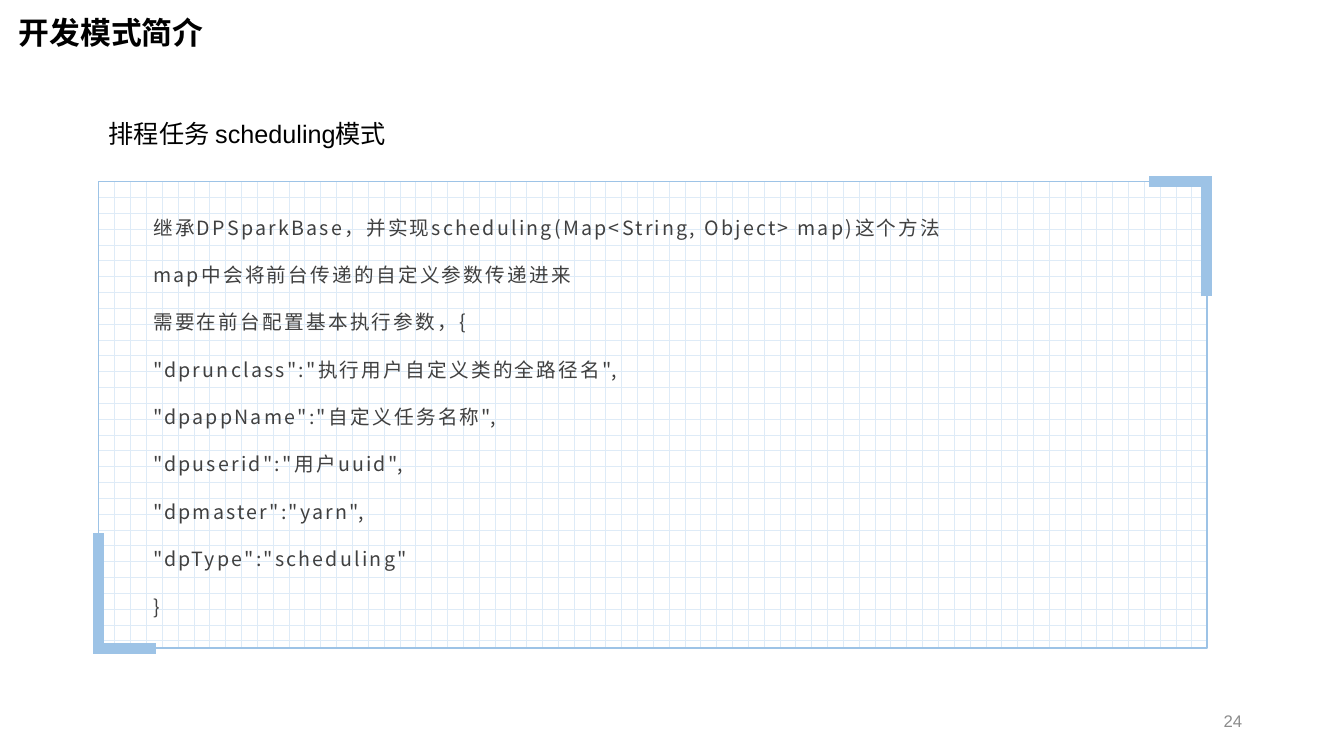
from dataclasses import dataclass

from lxml.etree import SubElement
from pptx import Presentation
from pptx.dml.color import RGBColor as RGB
from pptx.enum.dml import MSO_PATTERN as PATTERN
from pptx.enum.shapes import MSO_SHAPE as SHAPE
from pptx.enum.text import MSO_ANCHOR as ANCHOR, PP_ALIGN as ALIGN
from pptx.oxml.ns import qn
from pptx.util import Pt

PX = 9144


@dataclass(frozen=True)
class Theme:
    """Colours, fonts and type sizes of the slide."""
    ink: RGB = RGB(0, 0, 0)
    body: RGB = RGB(0x40, 0x40, 0x40)
    muted: RGB = RGB(0x8C, 0x8C, 0x8C)
    frame: RGB = RGB(0x9D, 0xC3, 0xE6)
    grid: RGB = RGB(0xDE, 0xEB, 0xF7)
    paper: RGB = RGB(255, 255, 255)
    sans: str = "Arial"
    cjk: str = "Noto Sans CJK SC"
    title_size: int = 22
    subtitle_size: int = 18
    body_size: int = 14
    number_size: int = 12


THEME = Theme()
DETAILS = [
    "继承DPSparkBase，并实现scheduling(Map<String, Object> map)这个方法",
    "map中会将前台传递的自定义参数传递进来",
    "需要在前台配置基本执行参数，{",
    '"dprunclass":"执行用户自定义类的全路径名",',
    '"dpappName":"自定义任务名称",',
    '"dpuserid":"用户uuid",',
    '"dpmaster":"yarn",',
    '"dpType":"scheduling"',
    "}",
]


def add_text(slide, box, lines, size, color, font=THEME.sans, bold=False,
             align=ALIGN.LEFT, anchor=ANCHOR.TOP, leading=1.0, gap=0,
             tracking=0, insets=(10, 5, 10, 5)):
    """Add a text box with one paragraph per line."""
    frame = slide.shapes.add_textbox(*(n * PX for n in box)).text_frame
    frame.word_wrap = True
    frame.vertical_anchor = anchor
    (frame.margin_left, frame.margin_top,
     frame.margin_right, frame.margin_bottom) = (n * PX for n in insets)
    for index, line in enumerate(lines):
        paragraph = frame.paragraphs[0] if index == 0 else frame.add_paragraph()
        paragraph.text = line
        paragraph.alignment = align
        paragraph.line_spacing = leading
        if index:
            paragraph.space_before = Pt(gap)
        paragraph.font.size = Pt(size)
        paragraph.font.name = font
        paragraph.font.bold = bold
        paragraph.font.color.rgb = color
        defaults = paragraph._p.pPr.find(qn("a:defRPr"))
        SubElement(defaults, qn("a:ea")).set("typeface", THEME.cjk)
        if tracking:
            defaults.set("spc", str(tracking))


def add_grid_panel(slide, box):
    """Add the framed panel with a dotted grid."""
    panel = slide.shapes.add_shape(SHAPE.RECTANGLE, *(n * PX for n in box))
    panel.shadow.inherit = False
    panel.fill.patterned()
    panel.fill.pattern = PATTERN.DOTTED_GRID
    panel.fill.fore_color.rgb = THEME.grid
    panel.fill.back_color.rgb = THEME.paper
    panel.line.color.rgb = THEME.frame
    panel.line.width = Pt(1)


def add_corner(slide, x, y, reach_x, reach_y):
    """Add a thick bracket whose arms reach from the corner at x, y."""
    builder = slide.shapes.build_freeform(x, y + reach_y, scale=PX)
    builder.add_line_segments([(x, y), (x + reach_x, y)], close=False)
    bracket = builder.convert_to_shape()
    bracket.shadow.inherit = False
    bracket.fill.background()
    bracket.line.color.rgb = THEME.frame
    bracket.line.width = Pt(8)
    SubElement(bracket.line._ln, qn("a:miter")).set("lim", "800000")


def main():
    """Build the slide and save it."""
    deck = Presentation()
    deck.slide_width, deck.slide_height = 1333 * PX, 750 * PX
    slide = deck.slides.add_slide(deck.slide_layouts[6])

    add_text(slide, (9, 0, 1150, 68), ["开发模式简介"], THEME.title_size,
             THEME.ink, bold=True, anchor=ANCHOR.MIDDLE, leading=0.9)
    add_text(slide, (942, 695, 300, 40), ["24"], THEME.number_size,
             THEME.muted, align=ALIGN.RIGHT, anchor=ANCHOR.MIDDLE)

    left, top, width, height = panel = (98, 180, 1099, 463)
    add_grid_panel(slide, panel)
    add_corner(slide, left, top + height, 57, -114)
    add_corner(slide, left + width, top, -57, 114)

    add_text(slide, (141, 207, 1013, 410), DETAILS, THEME.body_size,
             THEME.body, font=THEME.cjk, leading=1.3, gap=12, tracking=160,
             insets=(11, 0, 9, 0))
    add_text(slide, (98, 112, 958, 40), ["排程任务 scheduling模式"],
             THEME.subtitle_size, THEME.ink)
    deck.save("out.pptx")


if __name__ == "__main__":
    main()
